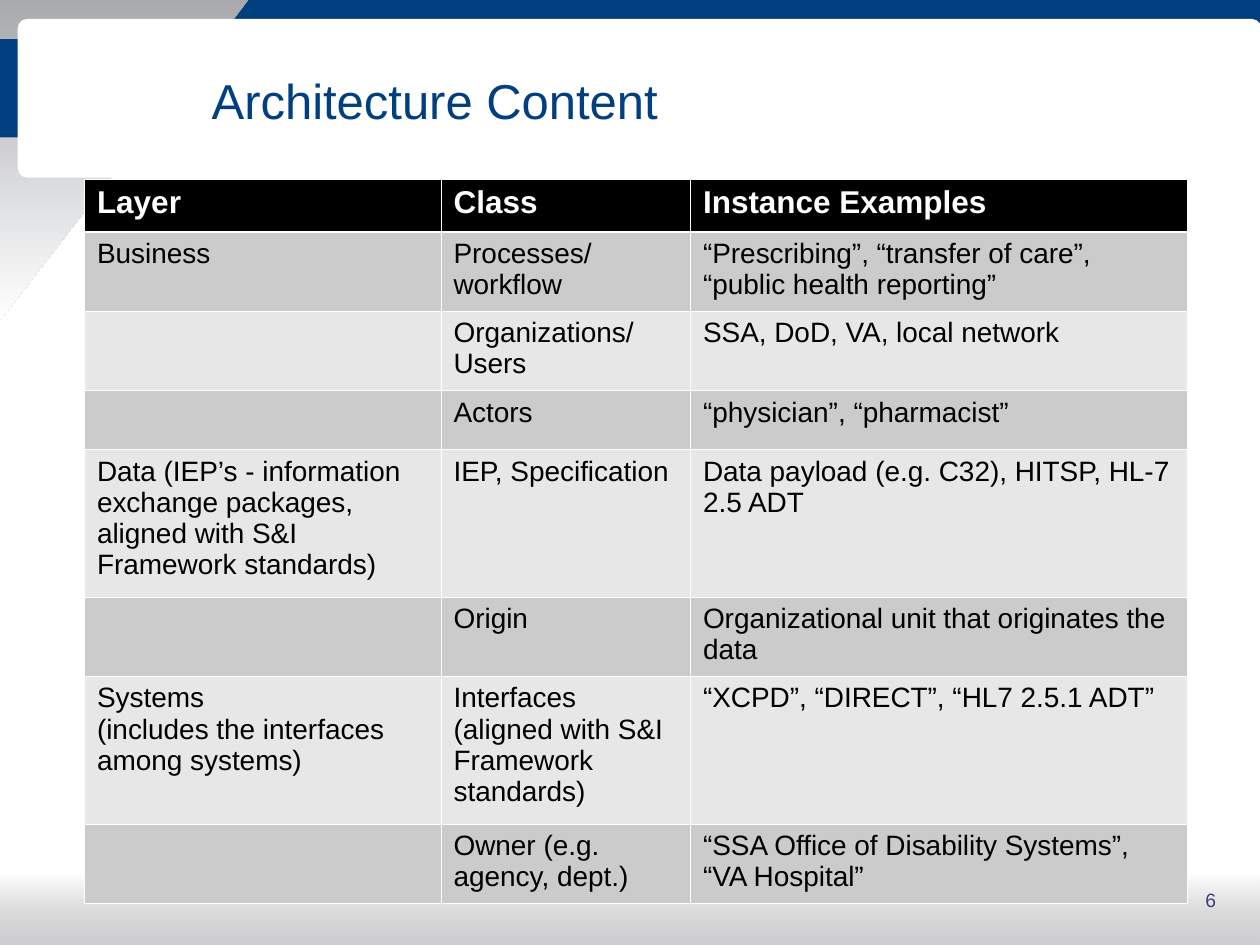
import pptx
import pptx.util
import pptx.dml.color
import pptx.enum.shapes
import pptx.enum.text
import pptx.oxml

Inches = pptx.util.Inches
Pt = pptx.util.Pt
RGBColor = pptx.dml.color.RGBColor
SHAPE = pptx.enum.shapes.MSO_SHAPE
ALIGN = pptx.enum.text.PP_ALIGN
ANCHOR = pptx.enum.text.MSO_ANCHOR

NAVY = RGBColor(0x01, 0x3F, 0x80)
SILVER = RGBColor(0xA9, 0xAA, 0xAD)
WHITE = RGBColor(0xFF, 0xFF, 0xFF)
BLACK = RGBColor(0x00, 0x00, 0x00)
DARK_BAND = RGBColor(0xCB, 0xCB, 0xCB)
LIGHT_BAND = RGBColor(0xE7, 0xE7, 0xE7)
NUMBER_VIOLET = RGBColor(0x3E, 0x3F, 0x78)
FONT = "Arial"

COLUMN_WIDTHS = [2.83, 1.98, 3.94]
ROW_HEIGHTS = [0.42, 0.63, 0.63, 0.47, 1.17, 0.63, 1.17, 0.63]
ARCHITECTURE = [
    ("Layer", "Class", "Instance Examples"),
    ("Business", "Processes/ workflow",
     "“Prescribing”, “transfer of care”, “public health reporting”"),
    ("", "Organizations/ Users", "SSA, DoD, VA, local network"),
    ("", "Actors", "“physician”, “pharmacist”"),
    ("Data (IEP’s - information exchange packages, aligned with S&I Framework standards)",
     "IEP, Specification", "Data payload (e.g. C32), HITSP, HL-7 2.5 ADT"),
    ("", "Origin", "Organizational unit that originates the data"),
    ("Systems\n(includes the interfaces among systems)",
     "Interfaces (aligned with S&I Framework standards)",
     "“XCPD”, “DIRECT”, “HL7 2.5.1 ADT”"),
    ("", "Owner (e.g. agency, dept.)",
     "“SSA Office of Disability Systems”, “VA Hospital”"),
]


def format_text(text_frame, size, color, bold=False, align=ALIGN.LEFT):
    for paragraph in text_frame.paragraphs:
        paragraph.alignment = align
        font = paragraph.font
        font.name, font.size, font.bold = FONT, Pt(size), bold
        font.color.rgb = color
        for run in paragraph.runs:
            run.font.name, run.font.size, run.font.bold = FONT, Pt(size), bold
            run.font.color.rgb = color


def add_panel(slide, box, color=None, preset=SHAPE.RECTANGLE):
    panel = slide.shapes.add_shape(preset, *map(Inches, box))
    panel.shadow.inherit = False
    panel.line.fill.background()
    if color is not None:
        panel.fill.solid()
        panel.fill.fore_color.rgb = color
    return panel


def fade(panel, start, end, angle):
    panel.fill.gradient()
    panel.fill.gradient_angle = angle
    for stop, color in zip(panel.fill.gradient_stops, (start, end)):
        stop.color.rgb = color


def add_backdrop(slide, width, height):
    # Top band and the folded corner
    add_panel(slide, (1.6, 0, width - 1.58, 0.42), NAVY)
    corner = add_panel(slide, (-0.31, 0.28, 2.58, 2), preset=SHAPE.RIGHT_TRIANGLE)
    corner.rotation = 90
    fade(corner, SILVER, WHITE, 0)
    add_panel(slide, (0, 0.31, 0.17, 0.78), NAVY)

    # Title card
    card = add_panel(slide, (0.14, 0.15, width - 0.13, 1.26), WHITE,
                     SHAPE.ROUNDED_RECTANGLE)
    card.adjustments[0] = 0.06

    # Footer fading into translucent silver
    footer = add_panel(slide, (0, height - 0.57, width, 0.58))
    fade(footer, WHITE, SILVER, 270)
    last_color = footer.element.xpath(".//a:gs/a:srgbClr")[-1]
    alpha = pptx.oxml.parse_xml(
        '<a:alpha xmlns:a="http://schemas.openxmlformats.org/drawingml/2006/main"'
        ' val="57000"/>')
    last_color.append(alpha)


def place_title(slide, box):
    title = slide.shapes.title
    title.left, title.top, title.width, title.height = map(Inches, box)
    title.text_frame.text = "Architecture Content"
    title.text_frame.vertical_anchor = ANCHOR.MIDDLE
    format_text(title.text_frame, 28, NAVY)
    # Bring the title in front of its card
    title.element.getparent().append(title.element)


def border_cell(cell, widths):
    properties = cell._tc.get_or_add_tcPr()
    for side, width in widths.items():
        properties.append(pptx.oxml.parse_xml(
            f'<a:ln{side} xmlns:a="http://schemas.openxmlformats.org/drawingml/2006/main"'
            f' w="{Pt(width)}"><a:solidFill><a:srgbClr val="{WHITE}"/></a:solidFill>'
            f'</a:ln{side}>'))


def add_architecture_table(slide, left, top):
    table = slide.shapes.add_table(
        len(ROW_HEIGHTS), len(COLUMN_WIDTHS), Inches(left), Inches(top),
        Inches(sum(COLUMN_WIDTHS)), Inches(sum(ROW_HEIGHTS))).table
    for column, width in zip(table.columns, COLUMN_WIDTHS):
        column.width = Inches(width)
    for row_index, (row, height) in enumerate(zip(table.rows, ROW_HEIGHTS)):
        row.height = Inches(height)
        header = row_index == 0
        band = BLACK if header else DARK_BAND if row_index % 2 else LIGHT_BAND
        # A heavier rule separates the header from the body
        borders = {"L": 0.45, "R": 0.45,
                   "T": 1.47 if row_index == 1 else 0.45,
                   "B": 1.47 if header else 0.45}
        for cell, content in zip(row.cells, ARCHITECTURE[row_index]):
            border_cell(cell, borders)
            cell.fill.solid()
            cell.fill.fore_color.rgb = band
            cell.text_frame.text = content
            format_text(cell.text_frame, 18 if header else 16,
                        WHITE if header else BLACK, header)


def add_page_number(slide, box):
    page_number = slide.shapes.add_textbox(*map(Inches, box)).text_frame
    page_number.word_wrap = True
    page_number.text = "6"
    format_text(page_number, 11, NUMBER_VIOLET, align=ALIGN.RIGHT)


def main():
    width, height = 10, 7.5
    deck = pptx.Presentation()
    deck.slide_width, deck.slide_height = Inches(width), Inches(height)
    slide = deck.slides.add_slide(deck.slide_layouts.get_by_name("Title Only"))
    add_backdrop(slide, width, height)
    place_title(slide, (1.58, 0.17, 8.42, 1.25))
    add_architecture_table(slide, 0.67, 1.42)
    add_page_number(slide, (7.67, 7, 2.08, 0.5))
    deck.save("out.pptx")


if __name__ == "__main__":
    main()
